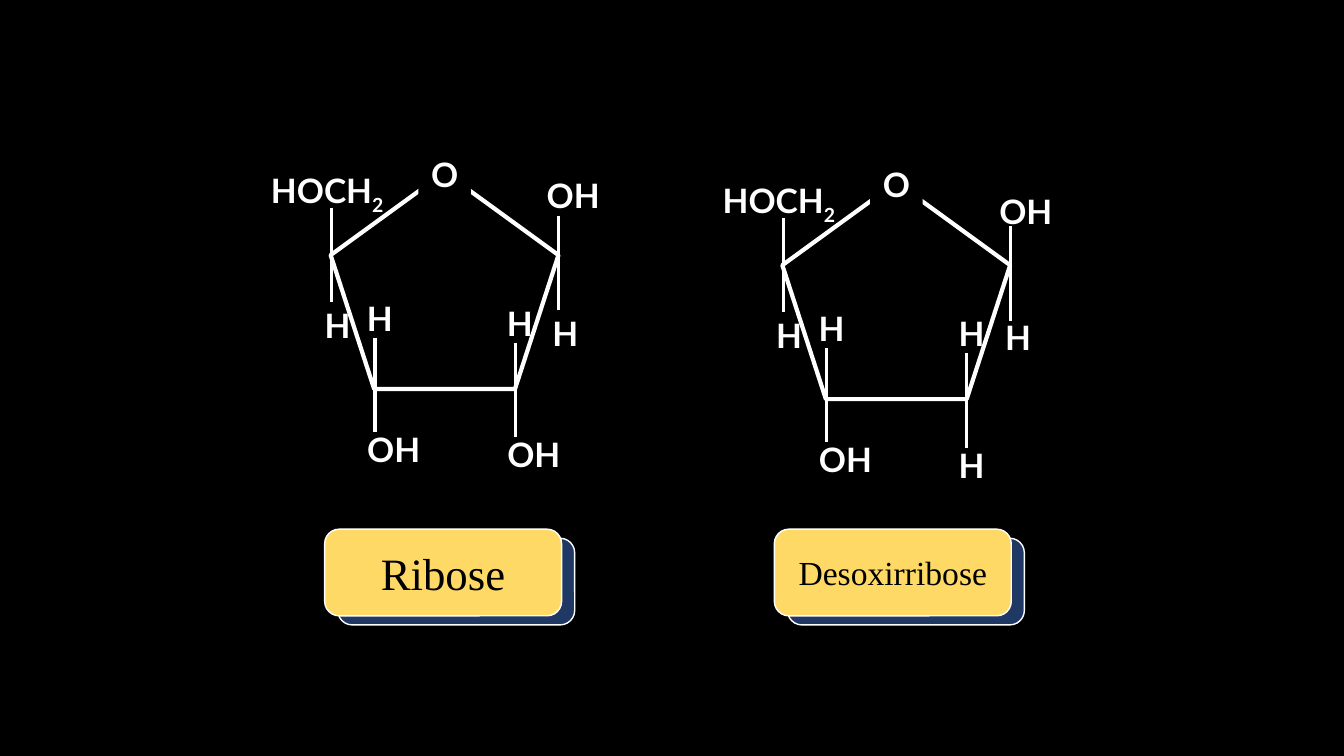
from lxml import etree
from pptx import Presentation
from pptx.dml.color import RGBColor
from pptx.enum import shapes, text
from pptx.oxml.ns import qn
from pptx.util import Inches, Pt

WHITE = "FFFFFF"
BLACK = "000000"
NAVY = "203864"
YELLOW = "FFD966"
BOND_LENGTH = 0.94
LABEL_WIDTHS = {"O": 0.52, "H": 0.39, "OH": 0.73, "HOCH2": 1.49}


def color(value):
    return RGBColor.from_string(value)


def add_outlined(page, kind, left, top, width, height, fill, weight):
    shape = page.shapes.add_shape(
        kind, Inches(left), Inches(top), Inches(width), Inches(height))
    shape.shadow.inherit = False
    if fill:
        shape.fill.solid()
        shape.fill.fore_color.rgb = color(fill)
    else:
        shape.fill.background()
    shape.line.color.rgb = color(WHITE)
    shape.line.width = Pt(weight)
    return shape


def format_paragraph(para, name, size, tone, bold=False):
    para.alignment = text.PP_ALIGN.CENTER
    para.font.name = name
    para.font.size = Pt(size)
    para.font.bold = bold
    para.font.color.rgb = color(tone)


def add_name_card(page, left, name, size):
    rounded = shapes.MSO_SHAPE.ROUNDED_RECTANGLE
    add_outlined(page, rounded, left + 0.13, 5.34, 2.35, 0.86, NAVY, 1)
    card = add_outlined(page, rounded, left, 5.25, 2.35, 0.86, YELLOW, 1)
    card.text_frame.vertical_anchor = text.MSO_ANCHOR.MIDDLE
    para = card.text_frame.paragraphs[0]
    para.text = name
    format_paragraph(para, "Times New Roman", size, BLACK)


def add_bond(page, left, top):
    bond = page.shapes.add_connector(
        shapes.MSO_CONNECTOR.STRAIGHT, Inches(left), Inches(top),
        Inches(left), Inches(top + BOND_LENGTH))
    bond.line.color.rgb = color(WHITE)
    bond.line.width = Pt(2.25)
    etree.SubElement(bond._element.spPr, qn("a:effectLst"))


def add_label(page, formula, left, top):
    box = page.shapes.add_textbox(
        Inches(left), Inches(top), Inches(LABEL_WIDTHS[formula]), Inches(0.5))
    frame = box.text_frame
    frame.word_wrap = True
    frame.auto_size = text.MSO_AUTO_SIZE.SHAPE_TO_FIT_TEXT
    para = frame.paragraphs[0]
    format_paragraph(para, "Lato", 24, WHITE, bold=True)
    letters = formula.rstrip("2")
    para.add_run().text = letters
    if letters != formula:
        subscript = para.add_run()
        subscript.text = "2"
        subscript.font._element.set("baseline", "-25000")
    return box


def add_sugar(page, left, top, lower_right, right_labels):
    add_outlined(page, shapes.MSO_SHAPE.REGULAR_PENTAGON,
                 left, top, 2.26, 2.15, None, 3)
    oxygen = add_label(page, "O", left + 0.87, top - 0.23)
    oxygen.fill.solid()
    oxygen.fill.fore_color.rgb = color(BLACK)

    for x, y in [(2.26, 0.43), (1.83, 1.69), (0.44, 1.64), (0.01, 0.35)]:
        add_bond(page, left + x, top + y)

    labels = right_labels + [
        (lower_right, 1.65, 2.55), ("H", 1.65, 1.25),
        ("OH", 0.26, 2.5), ("H", 0.26, 1.2),
        ("HOCH2", -0.78, -0.07), ("H", -0.16, 1.27),
    ]
    for formula, x, y in labels:
        add_label(page, formula, left + x, top + y)


def main():
    deck = Presentation()
    deck.slide_width = Inches(13.33)
    deck.slide_height = Inches(7.5)
    page = deck.slides.add_slide(deck.slide_layouts[6])
    page.background.fill.solid()
    page.background.fill.fore_color.rgb = color(BLACK)

    add_name_card(page, 3.22, "Ribose", 32)
    add_name_card(page, 7.68, "Desoxirribose", 24)
    add_sugar(page, 3.28, 1.71, "OH",
              [("OH", 2.04, -0.02), ("H", 2.1, 1.35)])
    add_sugar(page, 7.76, 1.81, "H",
              [("OH", 2.05, 0.03), ("H", 2.11, 1.28)])
    deck.save("out.pptx")


if __name__ == "__main__":
    main()
